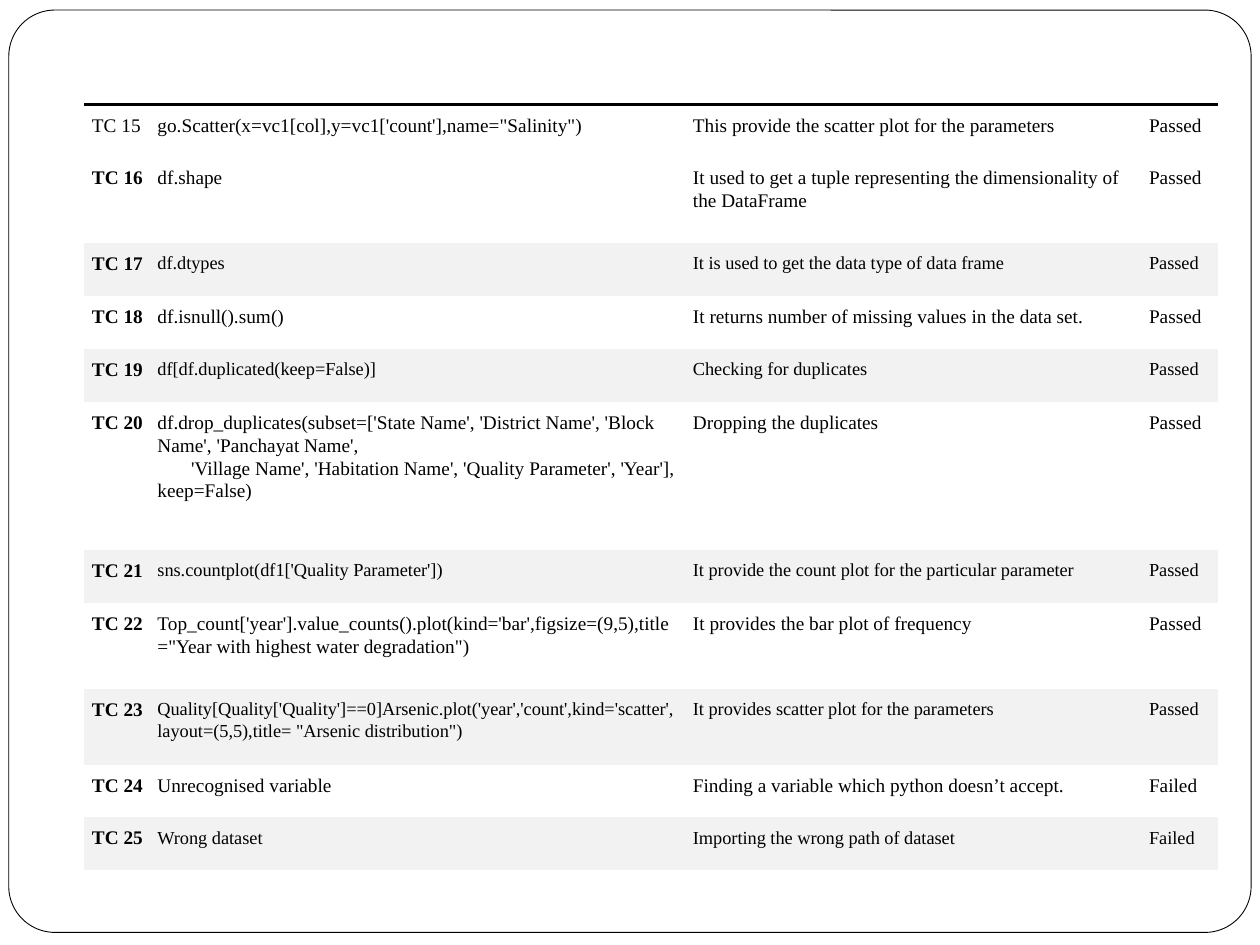
"""Builds a slide with a table of test cases 15 to 25 in a rounded frame."""
from lxml import etree
from pptx import Presentation
from pptx import util as u
from pptx.dml.color import RGBColor
from pptx.enum import shapes
from pptx.oxml import ns

COLORS = {"ink": "000000", "paper": "FFFFFF", "band": "F2F2F2"}
FONT = "Times New Roman"
NO_STYLE = "{2D5ABB26-0587-4C30-8999-92F81FD0307C}"
COL_WIDTHS = [0.52, 4.25, 3.62, 0.61]
FIRST_CASE = 15
CASES = [
    (0.42, "go.Scatter(x=vc1[col],y=vc1['count'],name=\"Salinity\")",
     "This provide the scatter plot for the parameters", "Passed"),
    (0.68, "df.shape",
     "It used to get a tuple representing the dimensionality of the DataFrame", "Passed"),
    (0.42, "df.dtypes", "It is used to get the data type of data frame", "Passed"),
    (0.42, "df.isnull().sum()", "It returns number of missing values in the data set.", "Passed"),
    (0.42, "df[df.duplicated(keep=False)]", "Checking for duplicates", "Passed"),
    (1.18, "df.drop_duplicates(subset=['State Name', 'District Name', 'Block Name', 'Panchayat Name',\n"
           "       'Village Name', 'Habitation Name', 'Quality Parameter', 'Year'], keep=False)",
     "Dropping the duplicates", "Passed"),
    (0.42, "sns.countplot(df1['Quality Parameter'])",
     "It provide the count plot for the particular parameter", "Passed"),
    (0.68, "Top_count['year'].value_counts().plot(kind='bar',figsize=(9,5),"
           "title=\"Year with highest water degradation\")",
     "It provides the bar plot of frequency", "Passed"),
    (0.6, "Quality[Quality['Quality']==0]Arsenic.plot('year','count',kind='scatter', "
          "layout=(5,5),title= \"Arsenic distribution\")",
     "It provides scatter plot for the parameters", "Passed"),
    (0.42, "Unrecognised variable", "Finding a variable which python doesn’t accept.", "Failed"),
    (0.42, "Wrong dataset", "Importing the wrong path of dataset", "Failed"),
]


def rgb(name):
    return RGBColor.from_string(COLORS[name])


def add_top_border(cell, width):
    ln = etree.Element(ns.qn("a:lnT"), w=str(u.Pt(width)))
    fill = etree.SubElement(ln, ns.qn("a:solidFill"))
    etree.SubElement(fill, ns.qn("a:srgbClr"), val=COLORS["ink"])
    cell._tc.get_or_add_tcPr().insert(0, ln)


prs = Presentation()
prs.slide_width, prs.slide_height = u.Inches(10), u.Inches(7.5)
s = prs.slides.add_slide(prs.slide_layouts[6])

sp = s.shapes.add_shape(shapes.MSO_SHAPE.ROUNDED_RECTANGLE,
                        u.Inches(0.07), u.Inches(0.08), u.Inches(9.86), u.Inches(7.32))
sp.adjustments[0] = 0.05
sp.shadow.inherit = False
sp.fill.solid()
sp.fill.fore_color.rgb = rgb("paper")
sp.line.color.rgb = rgb("ink")
sp.line.width = u.Pt(0.5)

table = s.shapes.add_table(len(CASES), len(COL_WIDTHS), u.Inches(0.67), u.Inches(0.83),
                           u.Inches(9), u.Inches(6.09)).table
table.first_row = table.horz_banding = False
table._tbl.tblPr.find(ns.qn("a:tableStyleId")).text = NO_STYLE
for col, width in zip(table.columns, COL_WIDTHS):
    col.width = u.Inches(width)

for i, (height, *values) in enumerate(CASES):
    table.rows[i].height = u.Inches(height)
    banded = i > 0 and i % 2 == 0
    for j, value in enumerate([f"TC {FIRST_CASE + i}", *values]):
        cell = table.cell(i, j)
        cell.margin_left = u.Inches(0.06)
        cell.margin_right = u.Inches(0.04 if j == 0 else 0.06)
        cell.margin_top = cell.margin_bottom = u.Inches(0.07)
        if banded:
            cell.fill.solid()
            cell.fill.fore_color.rgb = rgb("band")
        else:
            cell.fill.background()
        if i == 0:
            add_top_border(cell, 2.25)
        cell.text_frame.text = value
        for p in cell.text_frame.paragraphs:
            p.line_spacing = 1.07
            p.font.name = FONT
            p.font.size = u.Pt(10.5 if banded and j > 0 else 11)
            p.font.bold = i > 0 and j == 0
            p.font.color.rgb = rgb("ink")

prs.save("out.pptx")
